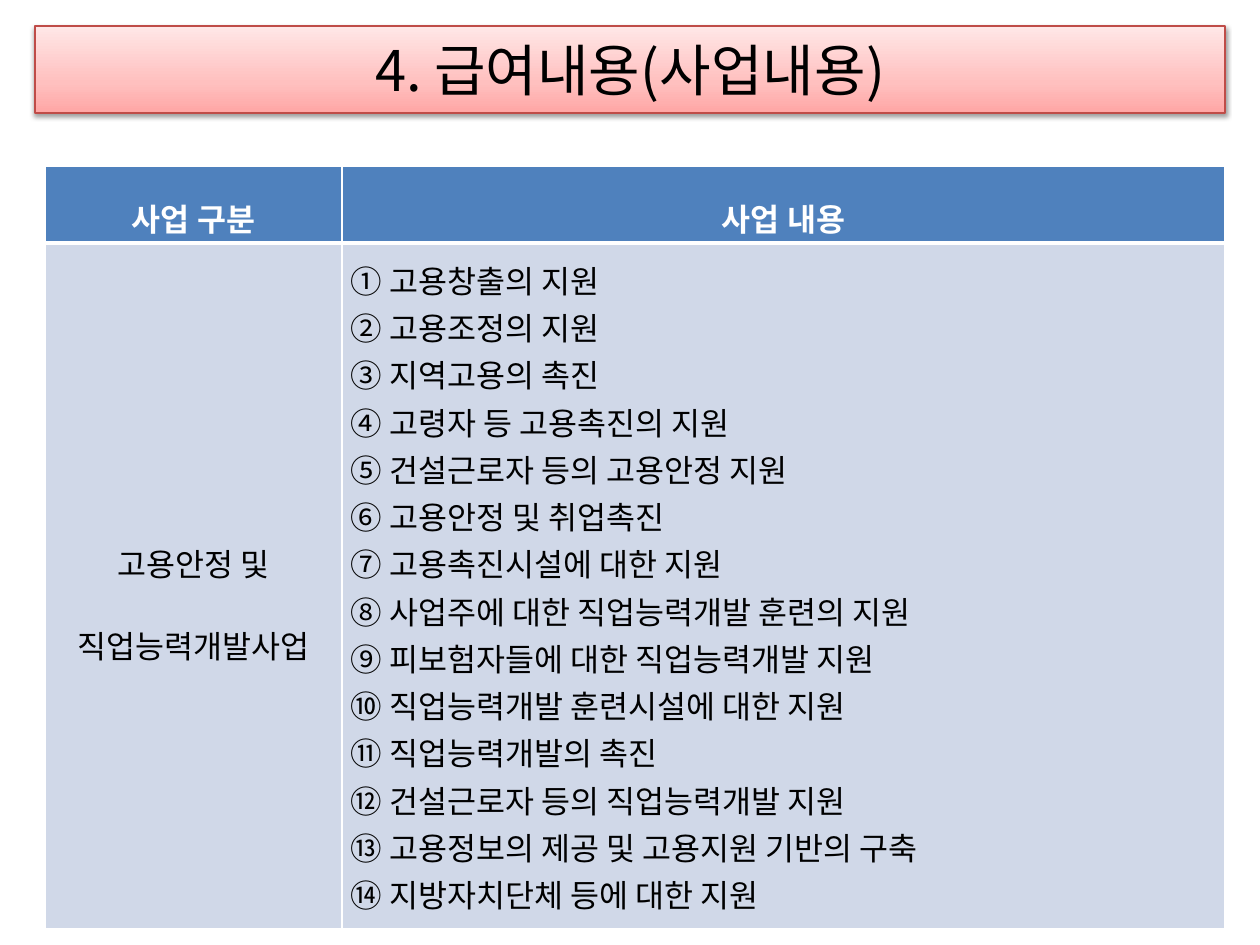
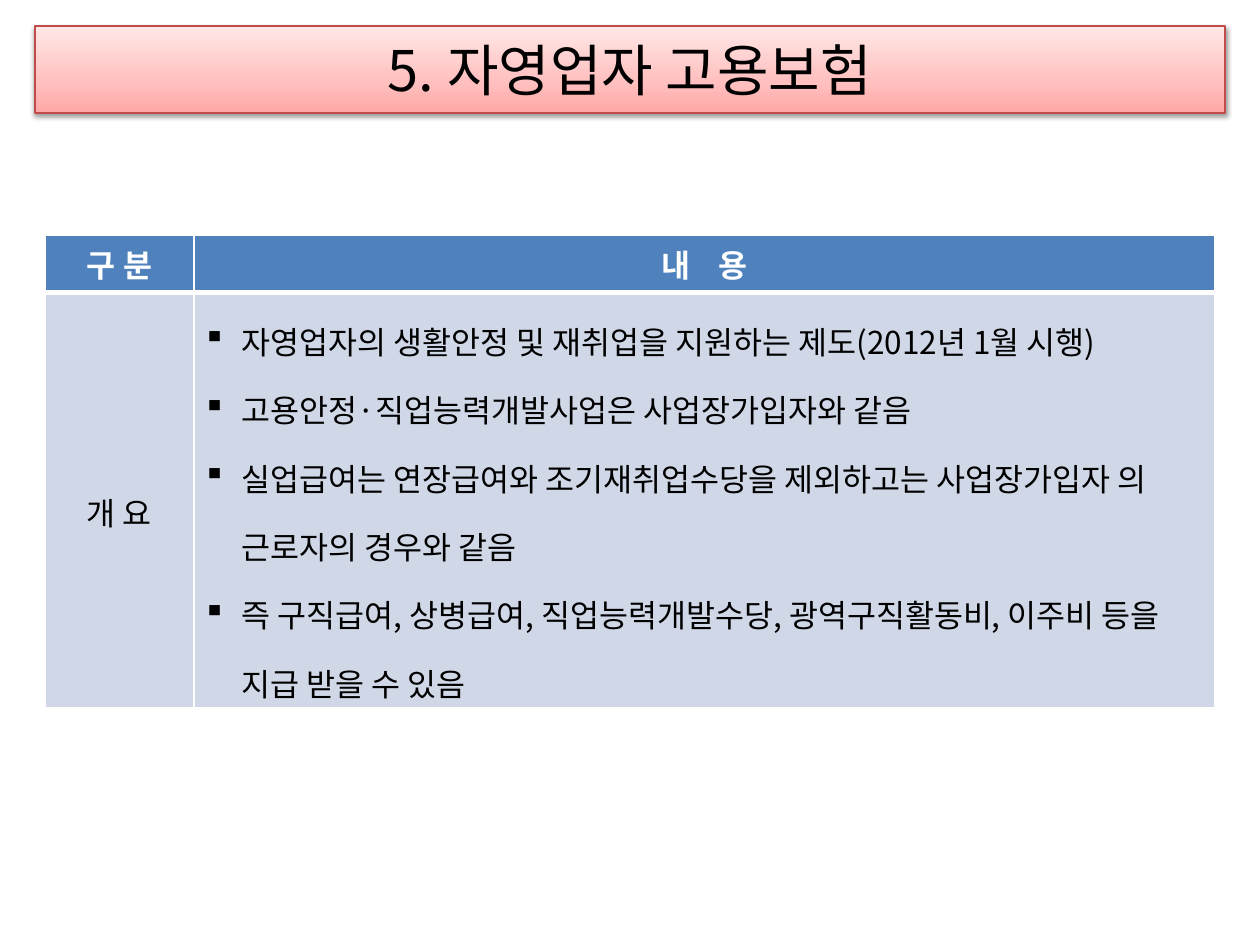
from dataclasses import dataclass
from typing import Optional, Union

from lxml import etree
from pptx import Presentation
from pptx import util as u
from pptx.dml.color import RGBColor
from pptx.enum import text
from pptx.oxml import parse_xml
from pptx.oxml.ns import nsdecls, qn

EMU_PER_PX = 914400 / 126
FONT = "Noto Sans CJK KR"
BLACK = RGBColor(0x00, 0x00, 0x00)
WHITE = RGBColor(0xFF, 0xFF, 0xFF)
HEADER_BLUE = RGBColor(0x4F, 0x81, 0xBD)
BODY_BLUE = RGBColor(0xD0, 0xD8, 0xE8)
BAND_LINE = RGBColor(0xBF, 0x4C, 0x48)
BAND_STOPS = [
    (0, RGBColor(0xFF, 0xA6, 0xA5)),
    (35, RGBColor(0xFF, 0xC0, 0xBF)),
    (100, RGBColor(0xFF, 0xE7, 0xE7)),
]
CENTER = text.PP_ALIGN.CENTER
JUSTIFY = text.PP_ALIGN.JUSTIFY
LEFT = text.PP_ALIGN.LEFT
MIDDLE = text.MSO_ANCHOR.MIDDLE
TOP = text.MSO_ANCHOR.TOP
TABLE_LEFT = 45
BULLET_INDENT = 39


@dataclass(frozen=True)
class Span:
    text: str
    tracking: int = 0  # points


@dataclass(frozen=True)
class CellStyle:
    align: text.PP_ALIGN = CENTER
    spacing: Union[float, u.Length] = 1.0
    anchor: text.MSO_ANCHOR = MIDDLE
    margin_x: int = 9
    margin_y: int = 2
    bullet: Optional[str] = None


@dataclass(frozen=True)
class CellText:
    lines: list[list[Span]]
    style: CellStyle


@dataclass(frozen=True)
class TablePage:
    title: str
    top: int
    columns: list[int]
    rows: list[int]
    cells: list[list[CellText]]


def px(length: int) -> u.Emu:
    return u.Emu(round(length * EMU_PER_PX))


def cell_text(style: CellStyle, *lines: str) -> CellText:
    return CellText([[Span(line)] for line in lines], style)


def add_span(para, span: Span, size: int, color: RGBColor, bold: bool = False) -> None:
    run = para.add_run()
    run.text = span.text
    run.font.size = u.Pt(size)
    run.font.bold = bold
    run.font.color.rgb = color
    run.font.name = FONT
    properties = run._r.get_or_add_rPr()
    etree.SubElement(properties, qn("a:ea")).set("typeface", FONT)
    if span.tracking:
        properties.set("spc", str(span.tracking * 100))


def add_title(page, title: str) -> None:
    """Turn the title placeholder into the pink gradient band."""
    band = page.shapes.title
    band.left, band.top, band.width, band.height = px(35), px(26), px(1190), px(87)
    band.line.color.rgb = BAND_LINE
    band.line.width = u.Pt(0.75)
    band.shadow.inherit = False

    properties = band._element.spPr
    stops = "".join(
        f'<a:gs pos="{percent * 1000}"><a:srgbClr val="{color}"/></a:gs>'
        for percent, color in BAND_STOPS
    )
    gradient = parse_xml(
        f'<a:gradFill {nsdecls("a")} rotWithShape="1"><a:gsLst>{stops}</a:gsLst>'
        '<a:lin ang="16200000" scaled="1"/></a:gradFill>'
    )
    properties.find(qn("a:ln")).addprevious(gradient)
    properties.find(qn("a:effectLst")).append(parse_xml(
        f'<a:outerShdw {nsdecls("a")} blurRad="{u.Pt(3.1)}" dist="{u.Pt(1.6)}" '
        f'dir="5400000" rotWithShape="0"><a:srgbClr val="{BLACK}">'
        '<a:alpha val="38000"/></a:srgbClr></a:outerShdw>'
    ))

    frame = band.text_frame
    frame.auto_size = text.MSO_AUTO_SIZE.NONE
    frame.vertical_anchor = MIDDLE
    para = frame.paragraphs[0]
    para.alignment = CENTER
    add_span(para, Span(title), 32, BLACK)


def set_borders(cell, is_header: bool) -> None:
    """Draw white borders, with a thick one between header and body."""
    widths = {"L": 1, "R": 1, "T": 1 if is_header else 3, "B": 3 if is_header else 1}
    properties = cell._tc.get_or_add_tcPr()
    for side, width in widths.items():
        properties.append(parse_xml(
            f'<a:ln{side} {nsdecls("a")} w="{u.Pt(width)}"><a:solidFill>'
            f'<a:srgbClr val="{WHITE}"/></a:solidFill></a:ln{side}>'
        ))


def add_bullet(para, mark: str) -> None:
    properties = para._p.get_or_add_pPr()
    properties.set("marL", str(px(BULLET_INDENT)))
    properties.set("indent", str(-px(BULLET_INDENT)))
    etree.SubElement(properties, qn("a:buChar")).set("char", mark)


def fill_cell(cell, content: CellText, is_header: bool) -> None:
    style = content.style
    set_borders(cell, is_header)
    cell.fill.solid()
    cell.fill.fore_color.rgb = HEADER_BLUE if is_header else BODY_BLUE
    cell.vertical_anchor = style.anchor
    cell.margin_left = cell.margin_right = px(style.margin_x)
    cell.margin_top = cell.margin_bottom = px(style.margin_y)
    frame = cell.text_frame
    for index, line in enumerate(content.lines):
        para = frame.add_paragraph() if index else frame.paragraphs[0]
        if style.bullet:
            add_bullet(para, style.bullet)
        para.alignment = style.align
        para.line_spacing = style.spacing
        for span in line:
            add_span(para, span, 18, WHITE if is_header else BLACK, is_header)


def add_table(page, data: TablePage) -> None:
    table = page.shapes.add_table(
        len(data.rows), len(data.columns), px(TABLE_LEFT), px(data.top),
        px(sum(data.columns)), px(sum(data.rows)),
    ).table
    for column, width in zip(table.columns, data.columns):
        column.width = px(width)
    for row, height in zip(table.rows, data.rows):
        row.height = px(height)
    for row_index, row_cells in enumerate(data.cells):
        for column_index, content in enumerate(row_cells):
            fill_cell(table.cell(row_index, column_index), content, row_index == 0)


BENEFIT_HEADER = CellStyle(spacing=1.6)
BENEFIT_KIND = CellStyle(spacing=1.8)
BENEFIT_LIST = CellStyle(align=JUSTIFY, spacing=u.Pt(27))
SELF_HEADER = CellStyle(anchor=TOP, margin_x=13, margin_y=6)
SELF_KIND = CellStyle(spacing=1.5)
SELF_LIST = CellStyle(align=LEFT, spacing=1.5, bullet="▪")

PAGES = [
    TablePage(
        title="4. 급여내용(사업내용)",
        top=166,
        columns=[297, 883],
        rows=[76, 686],
        cells=[
            [cell_text(BENEFIT_HEADER, "사업 구분"), cell_text(BENEFIT_HEADER, "사업 내용")],
            [
                cell_text(BENEFIT_KIND, "고용안정 및", "직업능력개발사업"),
                cell_text(
                    BENEFIT_LIST,
                    "① 고용창출의 지원",
                    "② 고용조정의 지원",
                    "③ 지역고용의 촉진",
                    "④ 고령자 등 고용촉진의 지원",
                    "⑤ 건설근로자 등의 고용안정 지원",
                    "⑥ 고용안정 및 취업촉진",
                    "⑦ 고용촉진시설에 대한 지원",
                    "⑧ 사업주에 대한 직업능력개발 훈련의 지원",
                    "⑨ 피보험자들에 대한 직업능력개발 지원",
                    "⑩ 직업능력개발 훈련시설에 대한 지원",
                    "⑪ 직업능력개발의 촉진",
                    "⑫ 건설근로자 등의 직업능력개발 지원",
                    "⑬ 고용정보의 제공 및 고용지원 기반의 구축",
                    "⑭ 지방자치단체 등에 대한 지원",
                ),
            ],
        ],
    ),
    TablePage(
        title="5. 자영업자 고용보험",
        top=235,
        columns=[149, 1021],
        rows=[57, 415],
        cells=[
            [
                cell_text(SELF_HEADER, "구 분"),
                CellText([[Span("내"), Span(" ", tracking=12), Span("용")]], SELF_HEADER),
            ],
            [
                cell_text(SELF_KIND, "개 요"),
                cell_text(
                    SELF_LIST,
                    "자영업자의 생활안정 및 재취업을 지원하는 제도(2012년 1월 시행)",
                    "고용안정·직업능력개발사업은 사업장가입자와 같음",
                    "실업급여는 연장급여와 조기재취업수당을 제외하고는 사업장가입자 의 "
                    "근로자의 경우와 같음",
                    "즉 구직급여, 상병급여, 직업능력개발수당, 광역구직활동비, 이주비 "
                    "등을 지급 받을 수 있음",
                ),
            ],
        ],
    ),
]


def main() -> None:
    deck = Presentation()
    deck.slide_width, deck.slide_height = px(1260), px(945)
    title_only = deck.slide_layouts[5]
    for data in PAGES:
        page = deck.slides.add_slide(title_only)
        add_title(page, data.title)
        add_table(page, data)
    deck.save("out.pptx")


if __name__ == "__main__":
    main()
